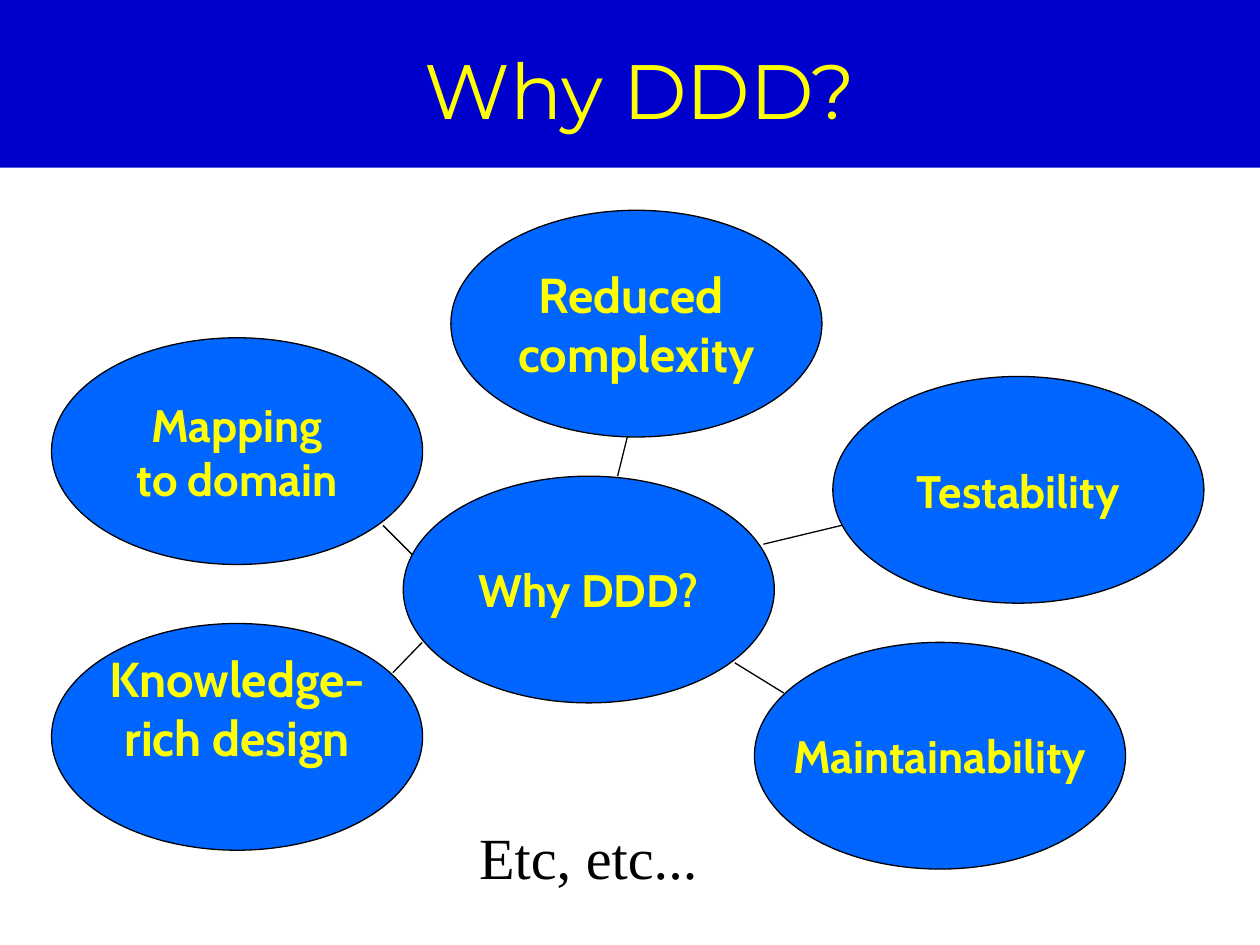
import pptx
import pptx.util
import pptx.dml.color
import pptx.enum.shapes
import pptx.enum.text
import pptx.oxml.ns
from lxml import etree
from pptx.util import Cm, Pt

BANNER_BLUE = pptx.dml.color.RGBColor(0x00, 0x00, 0xCC)
BUBBLE_BLUE = pptx.dml.color.RGBColor(0x00, 0x66, 0xFF)
YELLOW = pptx.dml.color.RGBColor(0xFF, 0xFF, 0x00)
BLACK = pptx.dml.color.RGBColor(0x00, 0x00, 0x00)

BUBBLE_WIDTH, BUBBLE_HEIGHT = Cm(7.48), Cm(4.57)
CENTRE = (7.09, 5.36)

# text, size, bubble corner in the map, link ends from the bubble corner (cm)
REASONS = [
    ("Knowledge-\nrich design", 28, (0, 8.33), (7.47, 0.38), (6.88, 0.99)),
    ("Mapping\nto domain", 26, (0, 2.57), (7.27, 4.37), (6.68, 3.78)),
    ("Reduced \vcomplexity", 28, (8.05, 0), (3.36, 5.36), (3.56, 4.55)),
    ("Testability", 26, (15.75, 3.35), (-1.4, 3.38), (0.18, 3)),
    ("Maintainability", 26, (14.17, 8.71), (-0.4, 0.41), (0.59, 1.02)),
]


def style_text(frame, font_name, size, color, bold=False):
    for paragraph in frame.paragraphs:
        paragraph.alignment = pptx.enum.text.PP_ALIGN.CENTER
        for run in paragraph.runs:
            run.font.name = font_name
            run.font.size = Pt(size)
            run.font.bold = bold
            run.font.color.rgb = color


def place(shape, left, top, width, height):
    shape.left, shape.top, shape.width, shape.height = left, top, width, height


def add_header(slide, left, top, width, height):
    """Blue band behind the title placeholder."""
    banner = slide.shapes.add_shape(
        pptx.enum.shapes.MSO_SHAPE.RECTANGLE, left, top, width, height)
    banner.shadow.inherit = False
    banner.fill.solid()
    banner.fill.fore_color.rgb = BANNER_BLUE
    banner.line.fill.background()
    slide.shapes._spTree.insert(2, banner._element)

    title = slide.shapes.title
    place(title, left + Cm(2.11), top + Cm(0.2), Cm(21.59), height - Cm(0.2))
    title.text_frame.text = "Why DDD?"
    title.text_frame.vertical_anchor = pptx.enum.text.MSO_ANCHOR.MIDDLE
    style_text(title.text_frame, "Montserrat", 44, YELLOW)


def add_bubble(slide, left, top, text, size):
    bubble = slide.shapes.add_shape(
        pptx.enum.shapes.MSO_SHAPE.OVAL, left, top, BUBBLE_WIDTH, BUBBLE_HEIGHT)
    bubble.shadow.inherit = False
    bubble.fill.solid()
    bubble.fill.fore_color.rgb = BUBBLE_BLUE
    bubble.line.color.rgb = BLACK
    bubble.line.width = Pt(0.75)
    frame = bubble.text_frame
    frame.word_wrap = False
    frame.vertical_anchor = pptx.enum.text.MSO_ANCHOR.MIDDLE
    frame.text = text
    style_text(frame, "Cabin", size, YELLOW, bold=True)
    return bubble


def add_link(slide, left, top, start, end):
    """Thin line between two points given in cm from (left, top)."""
    link = slide.shapes.add_connector(
        pptx.enum.shapes.MSO_CONNECTOR.STRAIGHT,
        left + Cm(start[0]), top + Cm(start[1]),
        left + Cm(end[0]), top + Cm(end[1]))
    link.line.color.rgb = BLACK
    link.line.width = Pt(0.75)
    etree.SubElement(link._element.spPr, pptx.oxml.ns.qn("a:effectLst"))


def add_reason_map(slide, left, top):
    add_bubble(slide, left + Cm(CENTRE[0]), top + Cm(CENTRE[1]), "Why DDD?", 26)
    for text, size, corner, start, end in REASONS:
        x, y = left + Cm(corner[0]), top + Cm(corner[1])
        bubble = add_bubble(slide, x, y, text, size)
        if text.startswith("Knowledge"):
            bubble.text_frame.margin_bottom = Cm(1.32)  # lifts the text one line
        add_link(slide, x, y, start, end)


def add_closing_remark(slide, left, top, width, height):
    body = slide.placeholders[1]
    place(body, left, top, width, height)
    frame = body.text_frame
    frame.text = "Etc, etc..."
    frame.auto_size = pptx.enum.text.MSO_AUTO_SIZE.NONE
    style_text(frame, "Times New Roman", 33.3, BLACK)
    remark = frame.paragraphs[0]
    remark.line_spacing = 0.8
    remark.space_before = Pt(9)
    properties = remark._p.get_or_add_pPr()
    properties.set("marL", str(Cm(0.96)))
    properties.set("indent", str(-Cm(0.96)))
    etree.SubElement(properties, pptx.oxml.ns.qn("a:buNone"))


def main():
    presentation = pptx.Presentation()
    presentation.slide_width, presentation.slide_height = Cm(25.4), Cm(19.05)
    slide = presentation.slides.add_slide(presentation.slide_layouts[1])
    add_header(slide, 0, 0, presentation.slide_width, Cm(3.38))
    add_reason_map(slide, Cm(1.04), Cm(4.24))
    add_closing_remark(slide, Cm(1.07), Cm(16.71), Cm(21.59), Cm(1.47))
    presentation.save("out.pptx")


if __name__ == "__main__":
    main()
